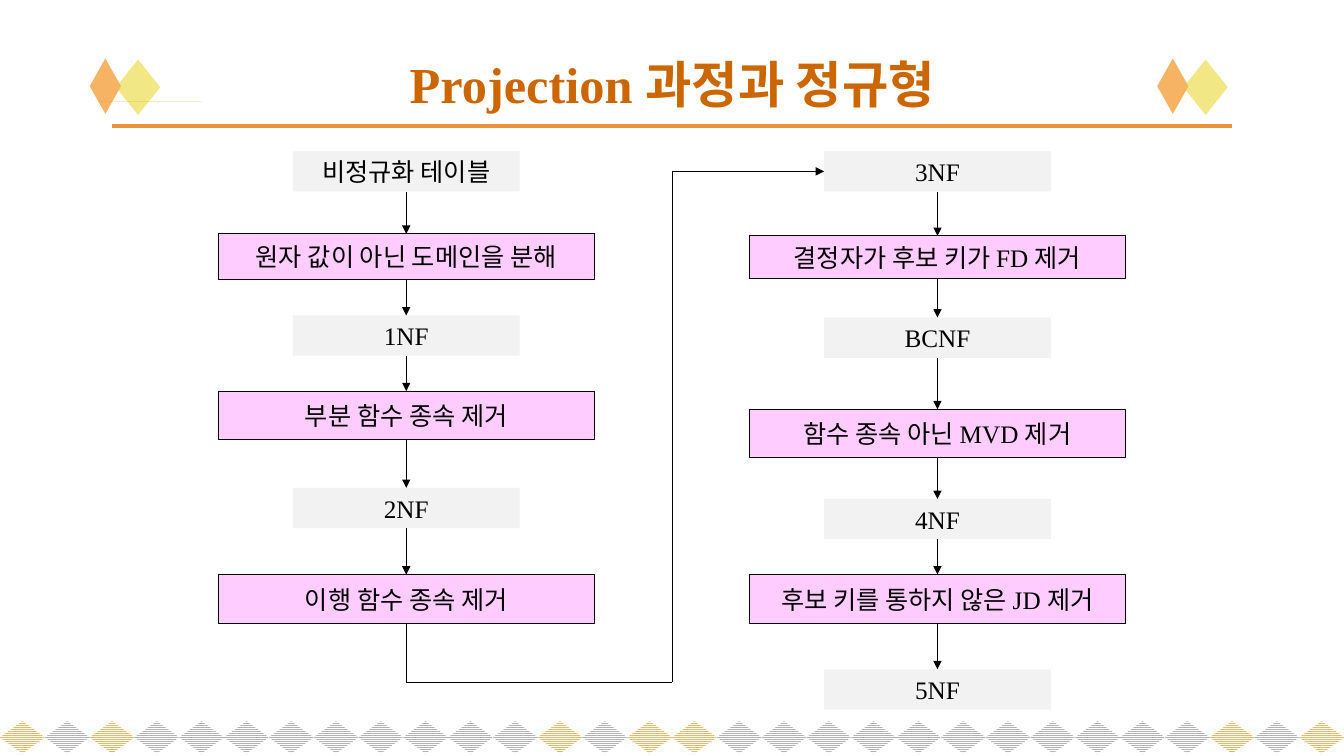
from lxml import etree
from pptx import Presentation
from pptx.dml.color import RGBColor
from pptx.enum.dml import MSO_PATTERN
from pptx.enum.shapes import MSO_CONNECTOR, MSO_SHAPE
from pptx.enum.text import MSO_ANCHOR, PP_ALIGN
from pptx.oxml.ns import qn
from pptx.util import Inches, Pt

RECTANGLE, DIAMOND = MSO_SHAPE.RECTANGLE, MSO_SHAPE.DIAMOND
STRAIGHT = MSO_CONNECTOR.STRAIGHT
STRIPES = MSO_PATTERN.NARROW_HORIZONTAL
MIDDLE, CENTER = MSO_ANCHOR.MIDDLE, PP_ALIGN.CENTER
TOP_SIDE, LEFT_SIDE, BOTTOM_SIDE = 0, 1, 2

BLACK = RGBColor(0x00, 0x00, 0x00)
WHITE = RGBColor(0xFF, 0xFF, 0xFF)
GRAY = RGBColor(0xB2, 0xB2, 0xB2)
STATE_GRAY = RGBColor(0xF2, 0xF2, 0xF2)
STEP_PINK = RGBColor(0xFF, 0xCC, 0xFF)
RUST = RGBColor(0xCC, 0x66, 0x00)
ORANGE = RGBColor(0xEB, 0x93, 0x3B)
PEACH = RGBColor(0xF5, 0xB3, 0x63)
CREAM = RGBColor(0xF1, 0xE7, 0x85)
YELLOW = RGBColor(0xF3, 0xC9, 0x17)
OLIVE = RGBColor(0xBB, 0x93, 0x21)

FONT = "Times New Roman"
SLIDE_WIDTH, SLIDE_HEIGHT = 13.333, 7.5
TITLE = "Projection 과정과 정규형"

# Each column: centre, then (text, top, height); states and steps alternate
STATE_HEIGHT = 0.4
COLUMNS = [
    (4.03, [
        ("비정규화 테이블", 1.5, STATE_HEIGHT),
        ("원자 값이 아닌 도메인을 분해", 2.32, 0.45),
        ("1NF", 3.13, STATE_HEIGHT),
        ("부분 함수 종속 제거", 3.88, 0.48),
        ("2NF", 4.84, STATE_HEIGHT),
        ("이행 함수 종속 제거", 5.7, 0.49),
    ]),
    (9.3, [
        ("3NF", 1.5, STATE_HEIGHT),
        ("결정자가 후보 키가 FD 제거", 2.34, 0.42),
        ("BCNF", 3.15, STATE_HEIGHT),
        ("함수 종속 아닌 MVD 제거", 4.06, 0.48),
        ("4NF", 4.95, STATE_HEIGHT),
        ("후보 키를 통하지 않은 JD 제거", 5.7, 0.49),
        ("5NF", 6.64, STATE_HEIGHT),
    ]),
]
STATE_STYLE = {"width": 2.25, "fill": STATE_GRAY, "outline": None}
STEP_STYLE = {"width": 3.73, "fill": STEP_PINK, "outline": BLACK}
DETOUR_X, DETOUR_Y = 6.67, 6.77

# Cube ornament, measured from its left end and its top
CUBE_LEFTS, CUBE_TOP = (0.89, 11.48), 0.58
CUBE_DIAMONDS = [(0.26, 0.01, 0.44, CREAM), (0, 0, 0.31, PEACH)]
CUBE_FACES = [
    (YELLOW, [(0.65, 0.28), (0.92, 0.28), (0.75, 0.01), (0.49, 0.01)]),
    (OLIVE, [(0.65, 0.28), (0.93, 0.28), (0.75, 0.55), (0.49, 0.55)]),
    (ORANGE, [(0.31, 0.28), (0.6, 0.28), (0.43, 0.01), (0.16, 0.01)]),
    (RUST, [(0.31, 0.28), (0.6, 0.28), (0.43, 0.56), (0.15, 0.56)]),
    (RUST, [(0.16, 0.1), (0.05, 0.28), (0.25, 0.28)]),
    (ORANGE, [(0.15, 0.46), (0.05, 0.28), (0.25, 0.28)]),
]
BORDER_COUNT, BORDER_TOP, BORDER_HEIGHT = 30, 7.155, 0.32
ORANGE_DIAMONDS = {0, 2, 12, 14, 15, 27, 29}


def add_plain(shapes, kind, left, top, width, height):
    shape = shapes.add_shape(kind, *map(Inches, (left, top, width, height)))
    shape.shadow.inherit = False
    shape.line.fill.background()
    return shape


def paint(shape, color):
    shape.fill.solid()
    shape.fill.fore_color.rgb = color


def add_line(shapes, start, end, color=BLACK, weight=0.75, arrow=False):
    line = shapes.add_connector(STRAIGHT, *map(Inches, (*start, *end)))
    line.line.color.rgb = color
    line.line.width = Pt(weight)
    if arrow:
        outline = line.line._get_or_add_ln()
        etree.SubElement(outline, qn("a:tailEnd"), type="triangle")
    etree.SubElement(line._element.spPr, qn("a:effectLst"))
    return line


def write(shape, text, size, color, bold=False):
    frame = shape.text_frame
    frame.word_wrap = True
    frame.vertical_anchor = MIDDLE
    para = frame.paragraphs[0]
    para.alignment = CENTER
    span = para.add_run()
    span.text = text
    for name, value in {"name": FONT, "size": Pt(size), "bold": bold}.items():
        setattr(span.font, name, value)
    span.font.color.rgb = color


def add_border(shapes):
    pitch = SLIDE_WIDTH / BORDER_COUNT
    for index in range(BORDER_COUNT):
        diamond = add_plain(shapes, DIAMOND, index * pitch, BORDER_TOP, pitch, BORDER_HEIGHT)
        diamond.fill.patterned()
        diamond.fill.pattern = STRIPES
        diamond.fill.fore_color.rgb = PEACH if index in ORANGE_DIAMONDS else GRAY
        diamond.fill.back_color.rgb = WHITE


def add_cube(shapes, left):
    for x, y, width, color in CUBE_DIAMONDS:
        paint(add_plain(shapes, DIAMOND, left + x, CUBE_TOP + y, width, 0.55), color)
    for color, corners in CUBE_FACES:
        points = [(left + x, CUBE_TOP + y) for x, y in corners]
        outline = shapes.build_freeform(*points[0], scale=Inches(1))
        outline.add_line_segments(points[1:], close=True)
        face = outline.convert_to_shape()
        face.shadow.inherit = False
        face.line.fill.background()
        paint(face, color)


def add_column(shapes, center, entries):
    """Draw one chain of boxes joined by arrows and return the boxes."""
    boxes = []
    for index, (text, top, height) in enumerate(entries):
        style = STEP_STYLE if index % 2 else STATE_STYLE
        width = style["width"]
        box = add_plain(shapes, RECTANGLE, center - width / 2, top, width, height)
        paint(box, style["fill"])
        if style["outline"] is not None:
            box.line.color.rgb = style["outline"]
            box.line.width = Pt(0.75)
        write(box, text, 18, BLACK)
        if boxes:
            arrow = add_line(shapes, (center, top), (center, top), arrow=True)
            arrow.begin_connect(boxes[-1], BOTTOM_SIDE)
            arrow.end_connect(box, TOP_SIDE)
        boxes.append(box)
    return boxes


def add_detour(shapes, last_step, next_state):
    """Lead from the foot of the left column to the head of the right one."""
    start_x = COLUMNS[0][0]
    entry_y = COLUMNS[1][1][0][1] + STATE_HEIGHT / 2
    corners = [(start_x, DETOUR_Y), (DETOUR_X, DETOUR_Y), (DETOUR_X, entry_y)]
    first = add_line(shapes, corners[0], corners[0])
    first.begin_connect(last_step, BOTTOM_SIDE)
    for start, end in zip(corners, corners[1:]):
        add_line(shapes, start, end)
    last = add_line(shapes, corners[-1], corners[-1], arrow=True)
    last.end_connect(next_state, LEFT_SIDE)


def main():
    deck = Presentation()
    deck.slide_width, deck.slide_height = Inches(SLIDE_WIDTH), Inches(SLIDE_HEIGHT)
    page = deck.slides.add_slide(deck.slide_layouts[5])
    shapes = page.shapes

    add_border(shapes)
    add_line(shapes, (1.11, 1.25), (12.22, 1.25), ORANGE, 2.25)
    for left in CUBE_LEFTS:
        add_cube(shapes, left)

    title = shapes.title
    place = {"left": 0.67, "top": 0.45, "width": 12, "height": 0.76}
    for name, value in place.items():
        setattr(title, name, Inches(value))
    write(title, TITLE, 36, RUST, bold=True)

    left_boxes, right_boxes = [add_column(shapes, *column) for column in COLUMNS]
    add_detour(shapes, left_boxes[-1], right_boxes[0])
    deck.save("out.pptx")


if __name__ == "__main__":
    main()
